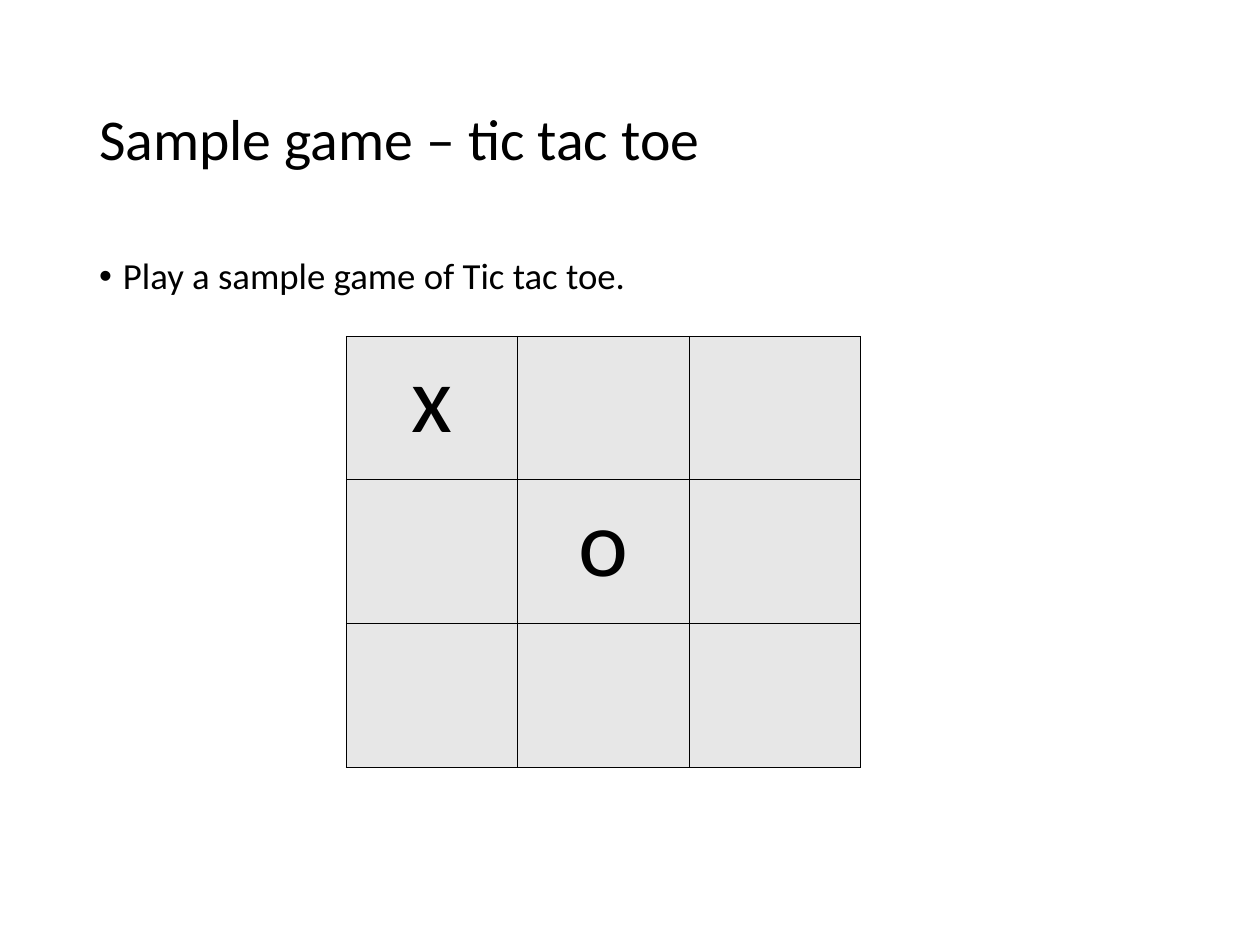
from lxml.etree import SubElement
from pptx import Presentation
from pptx.dml.color import RGBColor
from pptx.enum.text import MSO_ANCHOR, PP_ALIGN
from pptx.oxml.ns import qn
from pptx.util import Cm, Pt

BLACK = RGBColor(0x00, 0x00, 0x00)
CELL_GREY = RGBColor(0xE7, 0xE7, 0xE7)
FONT = "Calibri"
BOARD = ["x  ", " o ", "   "]


def format_font(paragraph, size):
    for run in paragraph.runs:
        run.font.name = FONT
        run.font.size = Pt(size)
        run.font.color.rgb = BLACK


def add_text(slide, text, top, height, size, anchor):
    box = slide.shapes.add_textbox(Cm(1.75), Cm(top), Cm(21.92), Cm(height))
    text_frame = box.text_frame
    text_frame.word_wrap = True
    text_frame.vertical_anchor = anchor
    text_frame.text = text
    paragraph = text_frame.paragraphs[0]
    paragraph.line_spacing = 0.9
    format_font(paragraph, size)
    return paragraph


def add_bullet(paragraph):
    properties = paragraph._p.get_or_add_pPr()
    indent = Cm(0.48)
    properties.set("marL", str(indent))
    properties.set("indent", str(-indent))
    SubElement(properties, qn("a:buFont"), typeface="Arial")
    SubElement(properties, qn("a:buChar"), char="•")


def set_borders(cell):
    """Outline all four sides of a cell; borders must precede its fill."""
    properties = cell._tc.get_or_add_tcPr()
    for side in ("lnL", "lnR", "lnT", "lnB"):
        line = SubElement(properties, qn(f"a:{side}"), w=str(Pt(0.45)))
        fill = SubElement(line, qn("a:solidFill"))
        SubElement(fill, qn("a:srgbClr"), val=str(BLACK))


def add_board(slide, marks):
    size = len(marks)
    frame = slide.shapes.add_table(
        size, size, Cm(6.98), Cm(6.78), Cm(10.37), Cm(8.68))
    table = frame.table
    table.first_row = False
    table.horz_banding = False
    for row, row_marks in enumerate(marks):
        for column, mark in enumerate(row_marks):
            cell = table.cell(row, column)
            set_borders(cell)
            cell.fill.solid()
            cell.fill.fore_color.rgb = CELL_GREY
            cell.text_frame.text = mark.strip()
            paragraph = cell.text_frame.paragraphs[0]
            paragraph.alignment = PP_ALIGN.CENTER
            format_font(paragraph, 54)


def main():
    presentation = Presentation()
    presentation.slide_width = Cm(25.4)
    presentation.slide_height = Cm(19.05)
    slide = presentation.slides.add_slide(presentation.slide_layouts[6])
    add_text(slide, "Sample game – tic tac toe", 1.02, 3.68, 33, MSO_ANCHOR.MIDDLE)
    add_bullet(add_text(slide, "Play a sample game of Tic tac toe.",
                        5.08, 12.09, 21, MSO_ANCHOR.TOP))
    add_board(slide, BOARD)
    presentation.save("out.pptx")


if __name__ == "__main__":
    main()
